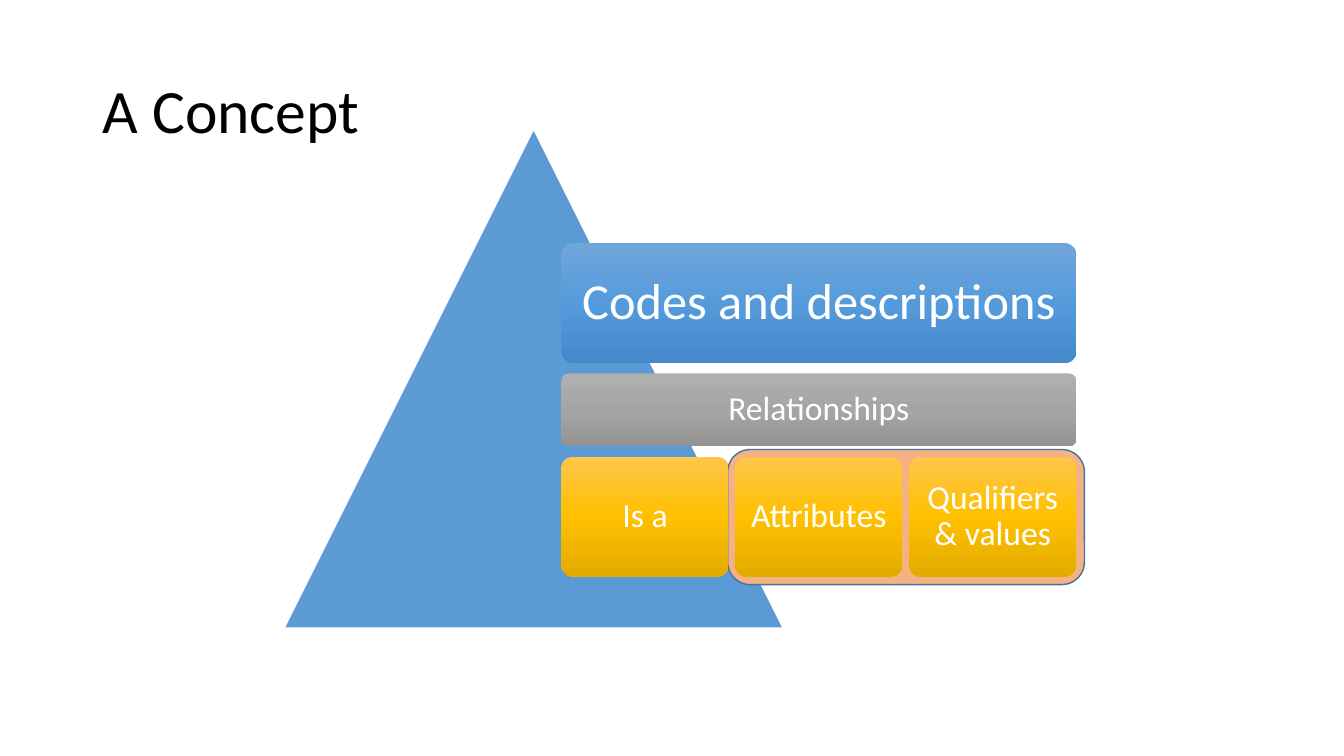
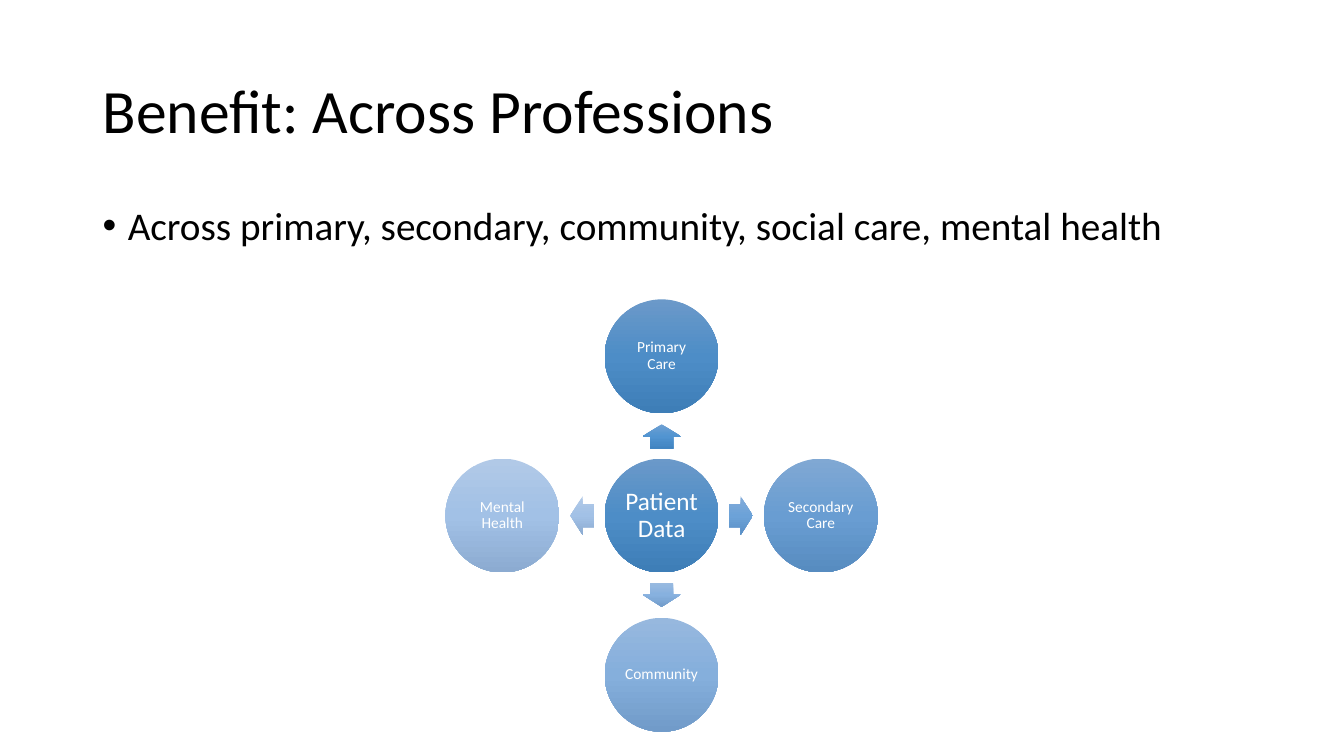
"""Build two slides: the parts of a concept, and patient data across professions."""

from copy import deepcopy
from dataclasses import dataclass
from typing import Any

from pptx import Presentation
from pptx.dml.color import RGBColor
from pptx.enum.shapes import MSO_SHAPE
from pptx.enum.text import MSO_ANCHOR, MSO_AUTO_SIZE, PP_ALIGN
from pptx.oxml.ns import qn
from pptx.util import Emu, Pt

EMU_PER_PX = 4572
SLIDE_WIDTH, SLIDE_HEIGHT = 2667, 1500
TITLE_ONLY = 5
FONT = "Calibri"

COLORS = {
    "text": "000000",
    "light": "FFFFFF",
    "triangle": "5B9BD5",
    "zone": "F4B183",
    "zone line": "43739E",
    "codes": "71A6DB 559BDB 448ACA",
    "relationships": "AFAFAF A5A5A5 939393",
    "kinds": "FFC64B FFC000 E3AB00",
    "patient": "6B99C9 4D8DC7 3E7EB7",
    "primary arrow": "6EA0D2 5194D1 4184C1",
    "secondary": "80A8D3 699DD2 578CC0",
    "secondary arrow": "83ACD9 6CA2D8 5A90C6",
    "community": "97B8DE 85AFDC 719BC9",
    "community arrow": "99BAE0 87B1DF 739DCB",
    "mental": "B1C9E7 A2C1E6 8CABD1",
}

TITLE_FRAME = {"vertical_anchor": MSO_ANCHOR.MIDDLE, "word_wrap": True,
               "auto_size": MSO_AUTO_SIZE.NONE}
BODY_FRAME = {"vertical_anchor": MSO_ANCHOR.TOP, "word_wrap": True}
LEFT_PARAGRAPH = {"alignment": PP_ALIGN.LEFT, "line_spacing": 0.9}
CENTRED_PARAGRAPH = {"alignment": PP_ALIGN.CENTER, "line_spacing": 0.9}


@dataclass(frozen=True)
class Box:
    """A rectangle in px."""

    left: int
    top: int
    width: int
    height: int

    def emu(self) -> tuple[Emu, ...]:
        """Return the rectangle in EMU."""
        return tuple(px(n) for n in (self.left, self.top, self.width, self.height))


@dataclass(frozen=True)
class Figure:
    """A preset shape with its look and label."""

    preset: MSO_SHAPE
    box: Box
    fill: str
    line: str = ""
    adjustments: tuple[float, ...] = ()
    label: str = ""
    size: int = 24
    inset: int = 20


@dataclass(frozen=True)
class Spoke:
    """A profession reached from the hub in one direction."""

    label: str
    across: int
    down: int
    arrow: MSO_SHAPE
    fill: str
    arrow_fill: str


TITLE_BOX = Box(184, 80, 2300, 290)
BODY_BOX = Box(184, 400, 2300, 952)

STACK_LEFT, STACK_TOP, STACK_WIDTH, STACK_GAP = 1114, 482, 1022, 21
TALL_ROW, SHORT_ROW = 238, 144
KIND_GAP = 13
KINDS = ("Is a", "Attributes", "Qualifiers & values")

HUB_X, HUB_Y, CIRCLE = 1313, 1023, 226
SPOKE_STEP, ARROW_STEP = 316, 157
ARROW_LENGTH, ARROW_SPAN = 48, 76
SPOKES = (
    Spoke("Primary Care", 0, -1, MSO_SHAPE.UP_ARROW, "patient", "primary arrow"),
    Spoke("Secondary Care", 1, 0, MSO_SHAPE.RIGHT_ARROW, "secondary", "secondary arrow"),
    Spoke("Community", 0, 1, MSO_SHAPE.DOWN_ARROW, "community", "community arrow"),
    Spoke("Mental Health", -1, 0, MSO_SHAPE.LEFT_ARROW, "mental", "mental"),
)


def px(length: int) -> Emu:
    """Turn px into EMU."""
    return Emu(length * EMU_PER_PX)


def apply(target: Any, values: dict[str, Any]) -> None:
    """Set each named attribute on the target."""
    for name, value in values.items():
        setattr(target, name, value)


def write(shape: Any, text: str, size: int, color: str,
          frame: dict[str, Any], paragraph_format: dict[str, Any]) -> None:
    """Write one formatted paragraph into the shape."""
    apply(shape.text_frame, frame)
    paragraph = shape.text_frame.paragraphs[0]
    paragraph.text = text
    apply(paragraph, paragraph_format)
    font = paragraph.runs[0].font
    apply(font, {"name": FONT, "size": Pt(size)})
    font.color.rgb = RGBColor.from_string(COLORS[color])


def paint(shape: Any, color: str) -> None:
    """Fill the shape with a solid colour or a top-to-bottom gradient."""
    shades = COLORS[color].split()
    if len(shades) == 1:
        shape.fill.solid()
        shape.fill.fore_color.rgb = RGBColor.from_string(shades[0])
        return
    shape.fill.gradient()
    shape.fill.gradient_angle = 270
    stop_list = next(shape.element.spPr.iter(qn("a:gsLst")))
    stop_list.insert(1, deepcopy(stop_list[0]))
    for index, (stop, shade) in enumerate(zip(shape.fill.gradient_stops, shades)):
        stop.position = index / (len(shades) - 1)
        stop.color.rgb = RGBColor.from_string(shade)


def draw(slide: Any, figure: Figure) -> None:
    """Draw one figure on the slide."""
    shape = slide.shapes.add_shape(figure.preset, *figure.box.emu())
    shape.shadow.inherit = False
    paint(shape, figure.fill)
    if figure.line:
        shape.line.color.rgb = RGBColor.from_string(COLORS[figure.line])
        shape.line.width = Pt(1)
    else:
        shape.line.fill.background()
    for index, value in enumerate(figure.adjustments):
        shape.adjustments[index] = value
    if figure.label:
        margins = {f"margin_{side}": px(figure.inset)
                   for side in ("left", "top", "right", "bottom")}
        write(shape, figure.label, figure.size, "light",
              TITLE_FRAME | margins, CENTRED_PARAGRAPH)


def add_titled_slide(presentation: Any, title: str) -> Any:
    """Add a slide with the shared title style."""
    slide = presentation.slides.add_slide(presentation.slide_layouts[TITLE_ONLY])
    placeholder = slide.shapes.title
    apply(placeholder, dict(zip(("left", "top", "width", "height"), TITLE_BOX.emu())))
    write(placeholder, title, 44, "text", TITLE_FRAME, LEFT_PARAGRAPH)
    return slide


def add_bullet(slide: Any, text: str) -> None:
    """Add the bulleted body line."""
    body = slide.shapes.add_textbox(*BODY_BOX.emu())
    properties = body.text_frame.paragraphs[0]._p.get_or_add_pPr()
    apply_indent = {"marL": px(50), "indent": px(-50)}
    for name, value in apply_indent.items():
        properties.set(name, str(int(value)))
    bullet_font = properties.makeelement(qn("a:buFont"), {"typeface": "Arial"})
    bullet = properties.makeelement(qn("a:buChar"), {"char": "•"})
    properties.extend((bullet_font, bullet))
    write(body, text, 28, "text", BODY_FRAME, LEFT_PARAGRAPH)


def centred(x: int, y: int, width: int, height: int) -> Box:
    """Return a box centred on a point."""
    return Box(x - width // 2, y - height // 2, width, height)


def build_concept(presentation: Any) -> None:
    """Build the slide on the parts of a concept."""
    slide = add_titled_slide(presentation, "A Concept")
    draw(slide, Figure(MSO_SHAPE.ISOSCELES_TRIANGLE, Box(564, 256, 990, 990),
                       "triangle", "light"))
    draw(slide, Figure(MSO_SHAPE.ROUNDED_RECTANGLE, Box(1444, 892, 708, 268),
                       "zone", "zone line"))
    rows = (
        (("Codes and descriptions",), TALL_ROW, "codes", 36, 30),
        (("Relationships",), SHORT_ROW, "relationships", 24, 20),
        (KINDS, TALL_ROW, "kinds", 24, 20),
    )
    top = STACK_TOP
    for labels, height, fill, size, inset in rows:
        width = (STACK_WIDTH - KIND_GAP * (len(labels) - 1)) // len(labels)
        for column, label in enumerate(labels):
            box = Box(STACK_LEFT + column * (width + KIND_GAP), top, width, height)
            draw(slide, Figure(MSO_SHAPE.ROUNDED_RECTANGLE, box, fill,
                               adjustments=(0.1,), label=label, size=size, inset=inset))
        top += height + STACK_GAP


def build_professions(presentation: Any) -> None:
    """Build the slide on patient data shared across professions."""
    slide = add_titled_slide(presentation, "Benefit: Across Professions")
    add_bullet(slide, "Across primary, secondary, community, social care, mental health")
    draw(slide, Figure(MSO_SHAPE.OVAL, centred(HUB_X, HUB_Y, CIRCLE, CIRCLE),
                       "patient", label="Patient Data", size=18, inset=6))
    for spoke in SPOKES:
        size = (ARROW_LENGTH, ARROW_SPAN) if spoke.across else (ARROW_SPAN, ARROW_LENGTH)
        arrow_box = centred(HUB_X + spoke.across * ARROW_STEP,
                            HUB_Y + spoke.down * ARROW_STEP, *size)
        circle_box = centred(HUB_X + spoke.across * SPOKE_STEP,
                             HUB_Y + spoke.down * SPOKE_STEP, CIRCLE, CIRCLE)
        draw(slide, Figure(spoke.arrow, arrow_box, spoke.arrow_fill,
                           adjustments=(0.6, 0.5)))
        draw(slide, Figure(MSO_SHAPE.OVAL, circle_box, spoke.fill,
                           label=spoke.label, size=11, inset=4))


def main() -> None:
    """Build and save the presentation."""
    presentation = Presentation()
    apply(presentation, {"slide_width": px(SLIDE_WIDTH), "slide_height": px(SLIDE_HEIGHT)})
    build_concept(presentation)
    build_professions(presentation)
    presentation.save("out.pptx")


if __name__ == "__main__":
    main()
